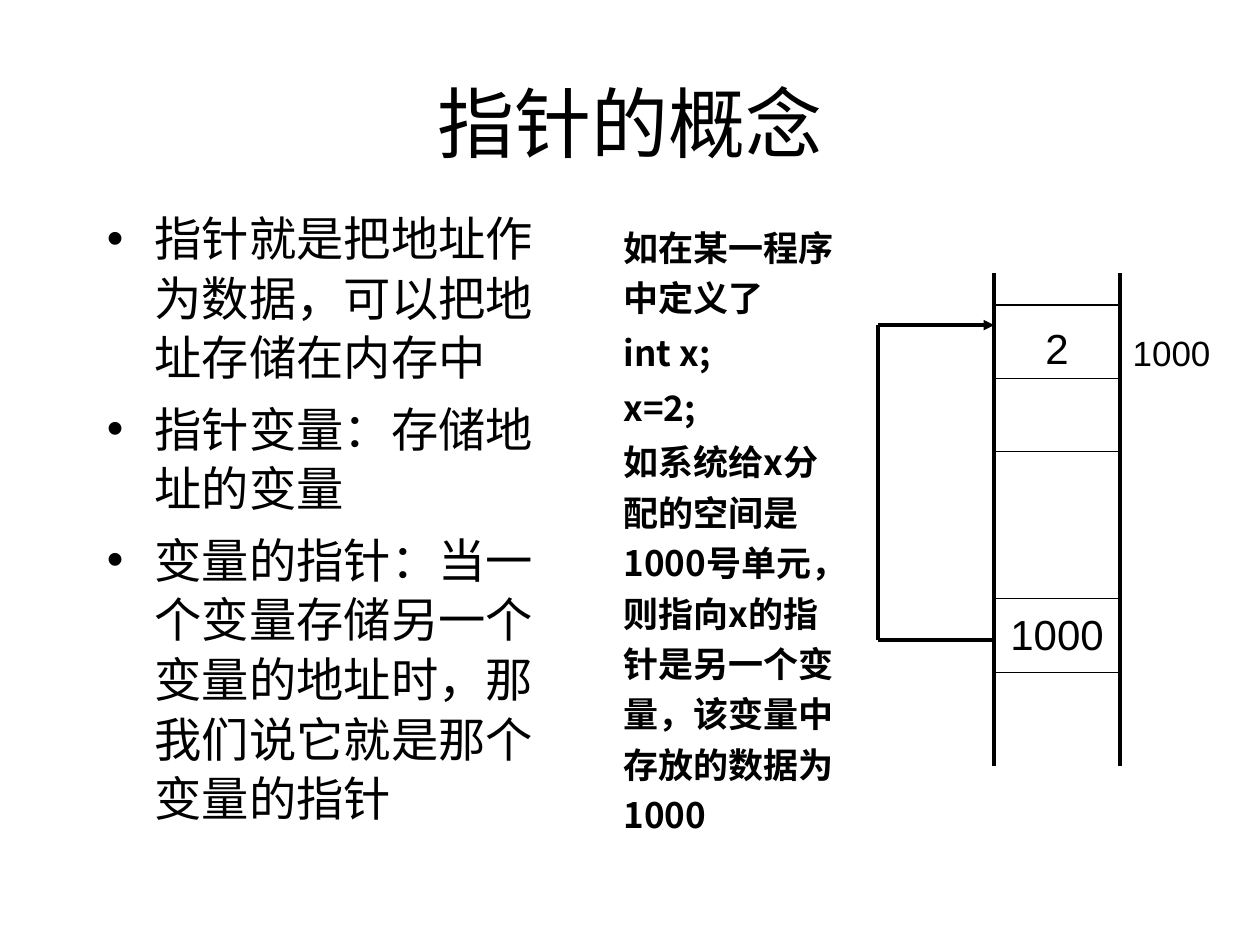
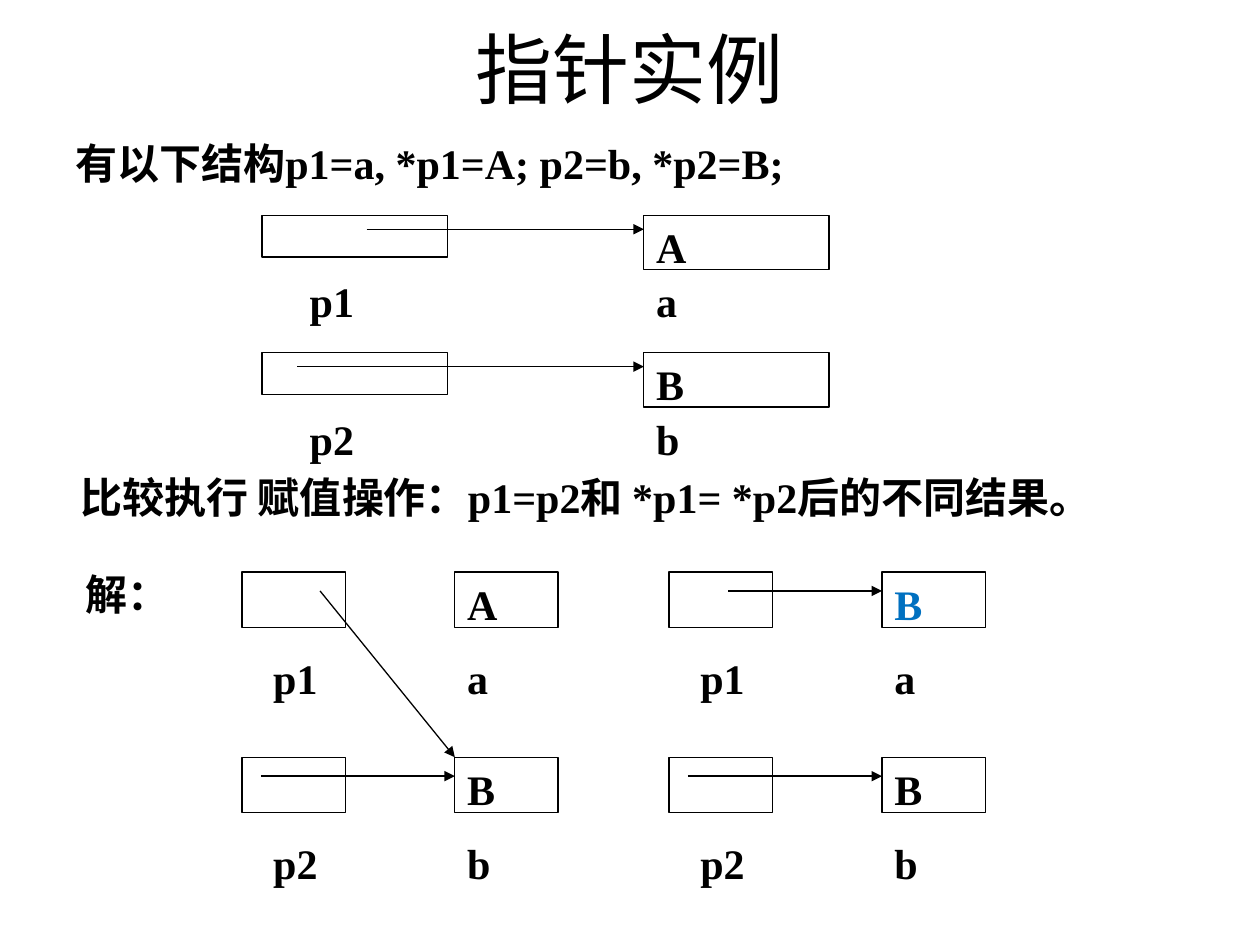
from dataclasses import dataclass

from lxml import etree
from pptx import Presentation
from pptx.dml.color import RGBColor
from pptx.enum.shapes import MSO_CONNECTOR, MSO_SHAPE
from pptx.enum.text import MSO_ANCHOR, PP_ALIGN
from pptx.oxml.ns import qn
from pptx.util import Inches, Pt

STRAIGHT = MSO_CONNECTOR.STRAIGHT
RECTANGLE = MSO_SHAPE.RECTANGLE
TOP, MIDDLE = MSO_ANCHOR.TOP, MSO_ANCHOR.MIDDLE
LEFT, CENTER, JUSTIFY = PP_ALIGN.LEFT, PP_ALIGN.CENTER, PP_ALIGN.JUSTIFY

COLUMNS, ROWS = 10, 7.5  # grid of one-inch columns and rows
BLACK, BLUE = "000000", "0070C0"
CJK, SERIF, SANS, TITLE_FONT = "Noto Sans CJK SC", "Times New Roman", "Arial", "Calibri"
THIN, THICK = 0.75, 2


@dataclass
class Style:
    size: float
    font: str
    bold: bool = False
    color: str = BLACK
    align: int = LEFT
    line_spacing: float = 1.0
    space_before: float = 0
    bullet_indent: float = 0


@dataclass
class PairLayout:
    """Measures of a pointer cell, the cell it points to and their labels."""
    target_offset: float
    cell_width: float
    pointer_height: float
    target_height: float
    arrow_drop: float
    label_indent: float
    label_drop: float
    label_width: float
    label_height: float


TITLE = Style(44, TITLE_FONT, align=CENTER)
BULLETS = Style(27, CJK, line_spacing=1.05, space_before=6.8, bullet_indent=0.38)
EXPLANATION = Style(20, CJK, bold=True, line_spacing=1.2, space_before=2.5)
CELL_VALUE = Style(24, SANS, align=CENTER, space_before=15)
CELL_ADDRESS = Style(20, SANS, space_before=12.5)
STATEMENT = Style(24, SERIF, bold=True)
PAIR_TEXT = Style(24, SERIF, bold=True, align=JUSTIFY)
CHANGED_TEXT = Style(24, SERIF, bold=True, color=BLUE, align=JUSTIFY)

EXAMPLE = PairLayout(3.03, 1.47, 0.33, 0.43, 0.11, 0.28, 0.43, 1.1, 0.33)
SOLUTION = PairLayout(1.69, 0.82, 0.44, 0.44, 0.15, 0.15, 0.59, 0.62, 0.44)


def rgb(value):
    return RGBColor.from_string(value)


def grid(*lengths):
    return [Inches(length) for length in lengths]


def add_bullet(paragraph, indent):
    properties = paragraph._p.get_or_add_pPr()
    properties.set("marL", str(Inches(indent)))
    properties.set("indent", str(-Inches(indent)))
    etree.SubElement(properties, qn("a:buFont")).set("typeface", SANS)
    etree.SubElement(properties, qn("a:buChar")).set("char", "•")


def write(frame, lines, style, anchor=TOP):
    frame.word_wrap = True
    frame.vertical_anchor = anchor
    for index, line in enumerate(lines):
        paragraph = frame.add_paragraph() if index else frame.paragraphs[0]
        paragraph.alignment = style.align
        paragraph.line_spacing = style.line_spacing
        paragraph.space_before = Pt(style.space_before)
        if style.bullet_indent:
            add_bullet(paragraph, style.bullet_indent)
        run = paragraph.add_run()
        run.text = line
        run.font.size = Pt(style.size)
        run.font.name = style.font
        run.font.bold = style.bold
        run.font.color.rgb = rgb(style.color)
        east_asian = etree.SubElement(run._r.get_or_add_rPr(), qn("a:ea"))
        east_asian.set("typeface", CJK)


def add_text(slide, box, lines, style, anchor=TOP):
    write(slide.shapes.add_textbox(*grid(*box)).text_frame, lines, style, anchor)


def add_title(slide, text, top, height):
    add_text(slide, (0.75, top, COLUMNS - 1.5, height), [text], TITLE, MIDDLE)


def add_line(slide, start, end, width=THIN, arrow=False):
    line = slide.shapes.add_connector(STRAIGHT, *grid(*start, *end))
    line.line.color.rgb = rgb(BLACK)
    line.line.width = Pt(width)
    if arrow:
        outline = line.line._get_or_add_ln()
        etree.SubElement(outline, qn("a:tailEnd")).set("type", "triangle")
    etree.SubElement(line._element.spPr, qn("a:effectLst"))


def add_cell(slide, box, value="", style=PAIR_TEXT):
    cell = slide.shapes.add_shape(RECTANGLE, *grid(*box))
    cell.shadow.inherit = False
    cell.fill.background()
    cell.line.color.rgb = rgb(BLACK)
    cell.line.width = Pt(THIN)
    if value:
        write(cell.text_frame, [value], style)


def add_pair(slide, layout, left, top, names, value, arrow_start=None, style=PAIR_TEXT):
    """Draw a pointer and a variable; arrow_start is measured from the left cell edge."""
    target = left + layout.target_offset
    add_cell(slide, (left, top, layout.cell_width, layout.pointer_height))
    add_cell(slide, (target, top, layout.cell_width, layout.target_height), value, style)
    if arrow_start is not None:
        arrow_y = top + layout.arrow_drop
        add_line(slide, (left + arrow_start, arrow_y), (target, arrow_y), arrow=True)
    for name, label_left in zip(names, (left + layout.label_indent, target)):
        label = (label_left, top + layout.label_drop, layout.label_width, layout.label_height)
        add_text(slide, label, [name], PAIR_TEXT)


def add_memory(slide):
    left, right, first_row, row_height = 7.89, 8.89, 2.42, 0.583
    for wall in (left, right):
        add_line(slide, (wall, 2.17), (wall, 6.08), THICK)
    for row in (0, 1, 2, 4, 5):
        y = first_row + row * row_height
        add_line(slide, (left, y), (right, y))

    loop, pointer_y, target_y = 6.97, 5.08, 2.58
    route = [(left, pointer_y), (loop, pointer_y), (loop, target_y), (left, target_y)]
    for start, end in zip(route, route[1:]):
        add_line(slide, start, end, THICK, arrow=end == route[-1])

    for value, top in (("1000", 4.78), ("2", 2.51)):
        add_text(slide, (left, top, right - left, 0.5), [value], CELL_VALUE)
    add_text(slide, (right, 2.58, 0.91, 0.44), ["1000"], CELL_ADDRESS)


def build_concept(slide):
    add_title(slide, "指针的概念", 0.34, 1.25)
    add_text(slide, (0.75, 1.59, 3.59, 5.08), [
        "指针就是把地址作为数据，可以把地址存储在内存中",
        "指针变量：存储地址的变量",
        "变量的指针：当一个变量存储另一个变量的地址时，那我们说它就是那个变量的指针",
    ], BULLETS)
    add_memory(slide)
    add_text(slide, (4.85, 1.68, 1.93, 5.01), [
        "如在某一程序中定义了",
        "int x;",
        "x=2;",
        "如系统给x分配的空间是1000号单元，则指向x的指针是另一个变量，该变量中存放的数据为1000",
    ], EXPLANATION)


def build_example(slide):
    first, second = ("p1", "a"), ("p2", "b")
    add_title(slide, "指针实例", 0.04, 1)
    add_text(slide, (0.5, 1.04, 8.56, 0.5), ["有以下结构p1=a, *p1=A; p2=b, *p2=B;"], STATEMENT)
    add_pair(slide, EXAMPLE, 2.08, 1.71, first, "A", 0.83)
    add_pair(slide, EXAMPLE, 2.08, 2.8, second, "B", 0.28)

    add_text(slide, (0.54, 3.69, 8.71, 0.69),
             ["比较执行 赋值操作：p1=p2和 *p1= *p2后的不同结果。"], STATEMENT)
    add_text(slide, (0.58, 4.46, 1, 0.5), ["解："], STATEMENT)
    upper, lower = 4.54, 6.01
    address_copied, value_copied = 1.92, 5.31
    add_pair(slide, SOLUTION, address_copied, upper, first, "A")
    add_pair(slide, SOLUTION, value_copied, upper, first, "B", 0.47, CHANGED_TEXT)
    for left in (address_copied, value_copied):
        add_pair(slide, SOLUTION, left, lower, second, "B", 0.15)
    add_line(slide, (address_copied + 0.62, upper + SOLUTION.arrow_drop),
             (address_copied + SOLUTION.target_offset, lower), arrow=True)


def main():
    deck = Presentation()
    deck.slide_width, deck.slide_height = grid(COLUMNS, ROWS)
    blank = deck.slide_layouts[6]
    for build in (build_concept, build_example):
        build(deck.slides.add_slide(blank))
    deck.save("out.pptx")


if __name__ == "__main__":
    main()
